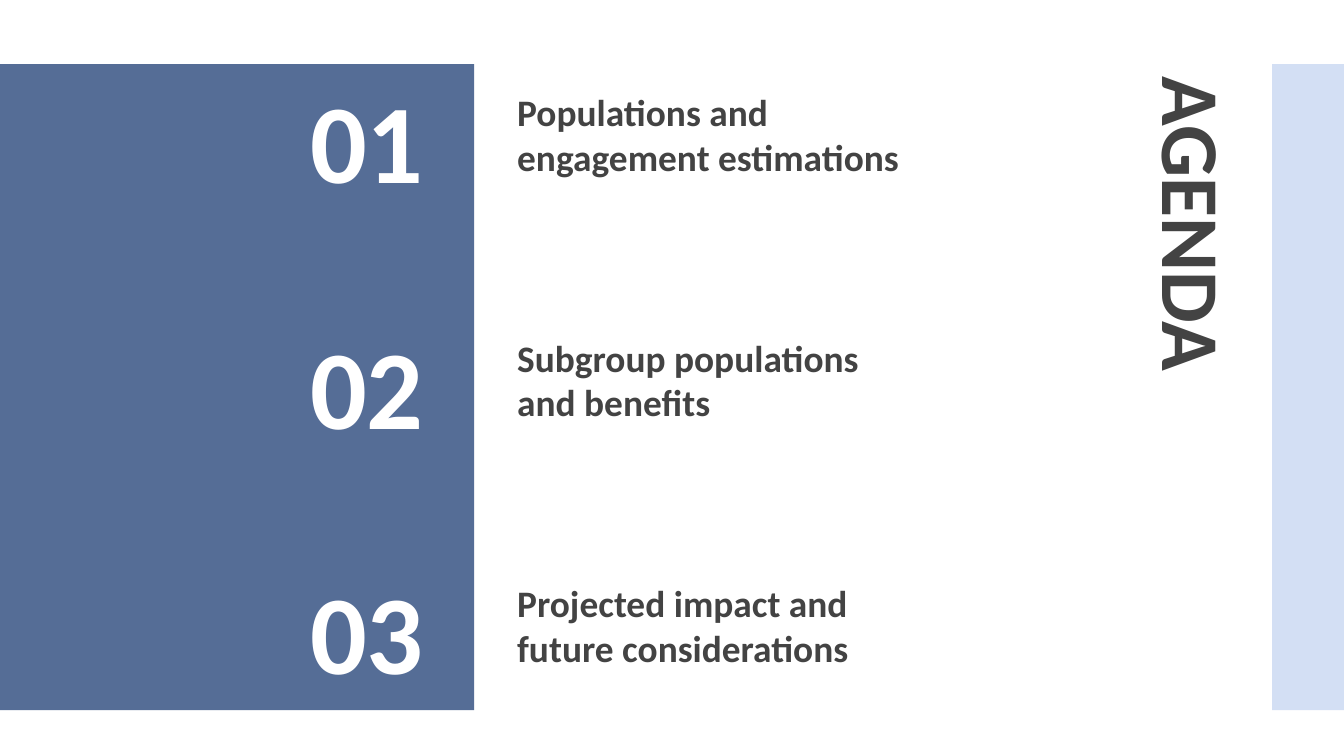
from dataclasses import dataclass

from lxml import etree
from pptx import Presentation
from pptx.dml.color import RGBColor
from pptx.enum.shapes import MSO_SHAPE
from pptx.enum.text import MSO_ANCHOR, PP_ALIGN
from pptx.oxml.ns import qn
from pptx.util import Pt

RECTANGLE = MSO_SHAPE.RECTANGLE
MIDDLE = MSO_ANCHOR.MIDDLE
BOTTOM = MSO_ANCHOR.BOTTOM
LEFT = PP_ALIGN.LEFT


@dataclass(frozen=True)
class Theme:
    font: str = "Calibri"
    ink: str = "434343"
    light: str = "FFFFFF"
    panel: str = "556D96"
    edge: str = "CCDAF3"
    heading_size: int = 44
    number_size: int = 60
    topic_size: int = 20


class AgendaSlide:
    def __init__(self, slide, theme):
        self.slide = slide
        self.theme = theme

    def panel(self, left, top, width, height, color, opacity=100):
        bar = self.slide.shapes.add_shape(
            RECTANGLE, Pt(left), Pt(top), Pt(width), Pt(height))
        bar.shadow.inherit = False
        bar.line.fill.background()
        bar.fill.solid()
        bar.fill.fore_color.rgb = RGBColor.from_string(color)
        if opacity < 100:
            fill_color = bar._element.spPr.find(qn("a:solidFill"))[0]
            etree.SubElement(fill_color, qn("a:alpha"), val=str(opacity * 1000))

    def text(self, wording, left, top, width, height, size, color,
             anchor=MIDDLE, rotation=0):
        box = self.slide.shapes.add_textbox(
            Pt(left), Pt(top), Pt(width), Pt(height))
        box.rotation = rotation
        frame = box.text_frame
        frame_format = {"word_wrap": True, "vertical_anchor": anchor}
        for side in ("left", "right", "top", "bottom"):
            frame_format[f"margin_{side}"] = Pt(7.2)
        for attribute, value in frame_format.items():
            setattr(frame, attribute, value)
        paragraph = frame.paragraphs[0]
        paragraph.alignment = LEFT
        run = paragraph.add_run()
        run.text = wording
        font_format = {"name": self.theme.font, "size": Pt(size), "bold": True}
        for attribute, value in font_format.items():
            setattr(run.font, attribute, value)
        run.font.color.rgb = RGBColor.from_string(color)


def main():
    deck = Presentation()
    deck.slide_width, deck.slide_height = Pt(720), Pt(405)
    theme = Theme()
    agenda = AgendaSlide(deck.slides.add_slide(deck.slide_layouts[6]), theme)

    agenda.panel(0, 34.3, 254, 346.2, theme.panel)
    agenda.panel(681.5, 34.3, 38.5, 346.2, theme.edge, opacity=86)
    agenda.text("AGENDA", 525.6, 129.6, 229.7, 38.2,
                theme.heading_size, theme.ink, rotation=90)

    topics = (
        "Populations and engagement estimations",
        "Subgroup populations and benefits",
        "Projected impact and future considerations",
    )
    row_step = 131.6
    for index, topic in enumerate(topics):
        row_top = 51.6 + index * row_step
        agenda.text(f"{index + 1:02}", 159.1, row_top, 124, 45.4,
                    theme.number_size, theme.light)
        agenda.text(topic, 270, row_top + 6, 224, 45.4,
                    theme.topic_size, theme.ink, anchor=BOTTOM)

    deck.save("out.pptx")


if __name__ == "__main__":
    main()
